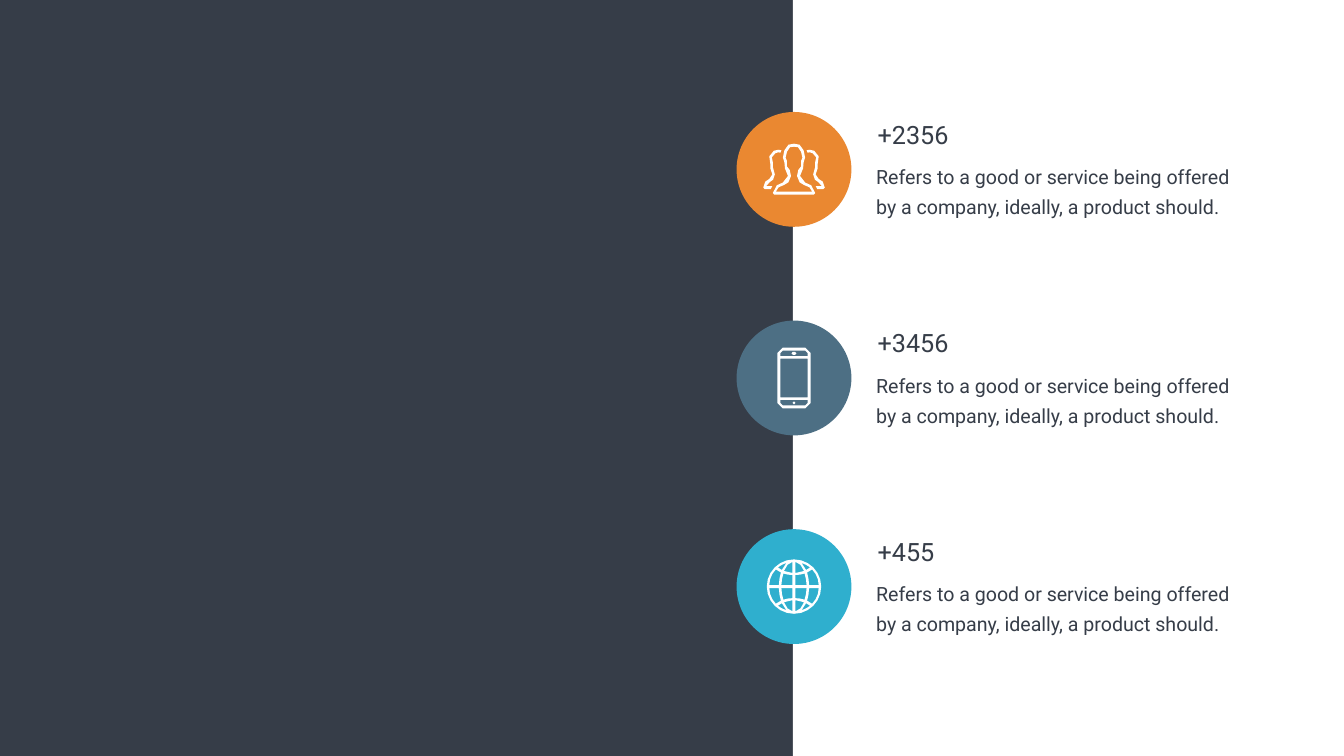
from dataclasses import dataclass
from math import hypot

from pptx import Presentation, util as u
from pptx.dml.color import RGBColor
from pptx.enum import shapes, text

DARK = RGBColor(0x36, 0x3D, 0x48)
WHITE = RGBColor(0xFF, 0xFF, 0xFF)
ORANGE = RGBColor(0xEA, 0x88, 0x31)
STEEL = RGBColor(0x4D, 0x6F, 0x84)
CYAN = RGBColor(0x2F, 0xAF, 0xCE)
FONT = "Roboto"

SLIDE_W, SLIDE_H = 1919.52, 1080
PANEL_LEFT = 1132.5
DISC_X, DISC_SIZE = 1134, 164
FIRST_Y, ROW_PITCH = 242, 298
# Icons use a grid of 0.72 pt around the disc centre
GRID = 0.72
CURVE_STEP = 12

Point = tuple[float, float]
Contour = list[Point]


@dataclass(frozen=True)
class Stat:
    value: str
    description: str
    color: RGBColor
    icon: list[Contour]


def trace(start: Point, *segments: tuple[float, ...]) -> Contour:
    """Join lines (x, y) and Bezier curves (two controls, end) into points."""
    points = [start]
    for segment in segments:
        x0, y0 = points[-1]
        x3, y3 = segment[-2:]
        chord = hypot(x3 - x0, y3 - y0)
        if chord == 0:
            continue
        if len(segment) == 6:
            x1, y1, x2, y2 = segment[:4]
            steps = max(1, round(chord / CURVE_STEP))
            for step in range(1, steps):
                t = step / steps
                a, b, c, d = (1 - t) ** 3, 3 * t * (1 - t) ** 2, 3 * t * t * (1 - t), t ** 3
                points.append((a * x0 + b * x1 + c * x2 + d * x3,
                               a * y0 + b * y1 + c * y2 + d * y3))
        points.append((x3, y3))
    return points


def flip(contour: Contour, sx: int, sy: int = 1) -> Contour:
    return [(x * sx, y * sy) for x, y in contour]


def symmetric(right_half: Contour) -> Contour:
    """Add the left half to one that starts and ends on the axis."""
    return right_half + flip(right_half[1:-1], -1)[::-1]


def rounded(half_w: float, top: float, bottom: float,
            r_top: float = 0, r_bottom: float = 0) -> Contour:
    """Centred box with its own corner radius at the top and the bottom."""
    k = 0.45
    return symmetric(trace(
        (0, top), (half_w - r_top, top),
        (half_w - k * r_top, top, half_w, top + k * r_top, half_w, top + r_top),
        (half_w, bottom - r_bottom),
        (half_w, bottom - k * r_bottom, half_w - k * r_bottom, bottom,
         half_w - r_bottom, bottom),
        (0, bottom)))


def people_icon() -> list[Contour]:
    outline = trace(
        (0, -51), (6, -51, 9, -50, 11, -49), (14, -47, 17, -44, 19, -38),
        (24, -27, 22, -19, 19, -14), (21, -5, 18, -2, 18, -2),
        (16, 0, 12, 3, 12, 13), (12, 23, 22, 26, 22, 26),
        (28, 28, 42, 32, 42, 47), (42, 47, 42, 50, 39, 50), (0, 50))
    inside = trace(
        (0, -45), (5, -45, 7, -45, 8, -44), (10, -43, 12, -41, 14, -35),
        (19, -25, 16, -19, 14, -17), (14, -8, 14, -6, 14, -6),
        (10, -2, 6, 3, 6, 13), (6, 24, 15, 30, 20, 31),
        (28, 33, 35, 37, 36, 44), (0, 44))
    neighbour = trace(
        (49, 19), (49, 19, 43, 18, 43, 10), (43, 3, 45, 0, 47, -2),
        (47, -2, 49, -4, 47, -11), (49, -14, 52, -21, 49, -26),
        (46, -33, 44, -35, 40, -37), (38, -38, 35, -39, 31, -39),
        (29, -39, 27, -39, 25, -38), (27, -33),
        (28, -34, 29, -34, 31, -34), (33, -34, 36, -33, 37, -32),
        (40, -31, 41, -30, 44, -24), (45, -21, 43, -16, 42, -14),
        (42, -5), (40, -3, 38, 1, 38, 10), (38, 19, 44, 24, 48, 25),
        (51, 26, 55, 28, 55, 33), (43, 33), (46, 39),
        (58, 39), (61, 36), (61, 25, 54, 21, 49, 19))
    return [symmetric(outline), symmetric(inside), neighbour, flip(neighbour, -1)]


def phone_icon() -> list[Contour]:
    body = rounded(33, -60.5, 60.5, 11, 11)
    head = rounded(27, -54.5, -43.5, 5, 0)
    screen = rounded(27, -38.5, 38.5)
    base = rounded(27, 43.5, 54.5, 0, 5)
    speaker = rounded(5, -52, -46, 3, 3)
    button = rounded(3, 46.5, 52.5, 3, 3)
    return [body, head, screen, base, speaker, button]


def globe_icon() -> list[Contour]:
    quadrant = [
        trace((3, 3), (25, 3), (25, 11, 23, 19, 21, 26), (16, 24, 9, 23, 3, 23)),
        trace((3, 27), (9, 28, 15, 29, 20, 31), (16, 41, 10, 48, 3, 49)),
        trace((30, 3), (49, 3), (49, 15, 44, 26, 36, 34),
              (33, 32, 29, 30, 26, 28), (28, 20, 30, 12, 30, 3)),
        trace((15, 47), (18, 44, 21, 39, 24, 33),
              (27, 34, 30, 36, 32, 38), (27, 42, 21, 45, 15, 47)),
    ]
    gaps = [flip(gap, sx, sy) for sx in (1, -1) for sy in (1, -1) for gap in quadrant]
    return [rounded(54, -54, 54, 54, 54), *gaps]


DESCRIPTION = ("Refers to a good or service being offered by a company, "
               "ideally, a product should.")
STATS = [
    Stat("+2356", DESCRIPTION, ORANGE, people_icon()),
    Stat("+3456", DESCRIPTION, STEEL, phone_icon()),
    Stat("+455", DESCRIPTION, CYAN, globe_icon()),
]


def paint(shape, color: RGBColor) -> None:
    shape.shadow.inherit = False
    shape.fill.solid()
    shape.fill.fore_color.rgb = color
    shape.line.fill.background()


def add_icon(parent, contours: list[Contour], center_y: float) -> None:
    """Draw all contours as one white outline; inner ones become holes."""
    fine = 100  # path units per point
    first, *others = [[(round(x * GRID * fine), round(y * GRID * fine))
                       for x, y in contour] for contour in contours]
    builder = parent.build_freeform(*first[0], scale=u.Pt(1) / fine)
    builder.add_line_segments(first[1:], close=True)
    for contour in others:
        builder.move_to(*contour[0])
        builder.add_line_segments(contour[1:], close=True)
    paint(builder.convert_to_shape(u.Pt(DISC_X), u.Pt(center_y)), WHITE)


def add_text(slide, words: str, left: float, top: float, width: float, height: float,
             size: float, margin_x: float, margin_y: float,
             line_spacing: float | None = None) -> None:
    frame = slide.shapes.add_textbox(
        u.Pt(left), u.Pt(top), u.Pt(width), u.Pt(height)).text_frame
    frame.word_wrap = True
    frame.auto_size = text.MSO_AUTO_SIZE.SHAPE_TO_FIT_TEXT
    frame.margin_left = frame.margin_right = u.Pt(margin_x)
    frame.margin_top = frame.margin_bottom = u.Pt(margin_y)
    paragraph = frame.paragraphs[0]
    if line_spacing:
        paragraph.line_spacing = u.Pt(line_spacing)
    run = paragraph.add_run()
    run.text = words
    run.font.name = FONT
    run.font.size = u.Pt(size)
    run.font.color.rgb = DARK


def add_stat(slide, stat: Stat, center_y: float) -> None:
    add_text(slide, stat.description, 1234, center_y - 24.5, 548.6, 100,
             28, 17.3, 8.64, line_spacing=43)
    add_text(slide, stat.value, 1246.3, center_y - 75.6, 408, 51, 36, 7.2, 3.6)
    badge = slide.shapes.add_group_shape().shapes
    disc = badge.add_shape(
        shapes.MSO_SHAPE.OVAL, u.Pt(DISC_X - DISC_SIZE / 2),
        u.Pt(center_y - DISC_SIZE / 2), u.Pt(DISC_SIZE), u.Pt(DISC_SIZE))
    paint(disc, stat.color)
    add_icon(badge, stat.icon, center_y)


def main() -> None:
    deck = Presentation()
    deck.slide_width, deck.slide_height = u.Pt(SLIDE_W), u.Pt(SLIDE_H)
    slide = deck.slides.add_slide(deck.slide_layouts[6])
    slide.background.fill.solid()
    slide.background.fill.fore_color.rgb = DARK
    panel = slide.shapes.add_shape(
        shapes.MSO_SHAPE.RECTANGLE, u.Pt(PANEL_LEFT), 0,
        u.Pt(SLIDE_W - PANEL_LEFT), u.Pt(SLIDE_H))
    paint(panel, WHITE)
    for row, stat in enumerate(STATS):
        add_stat(slide, stat, FIRST_Y + row * ROW_PITCH)
    deck.save("out.pptx")


if __name__ == "__main__":
    main()
